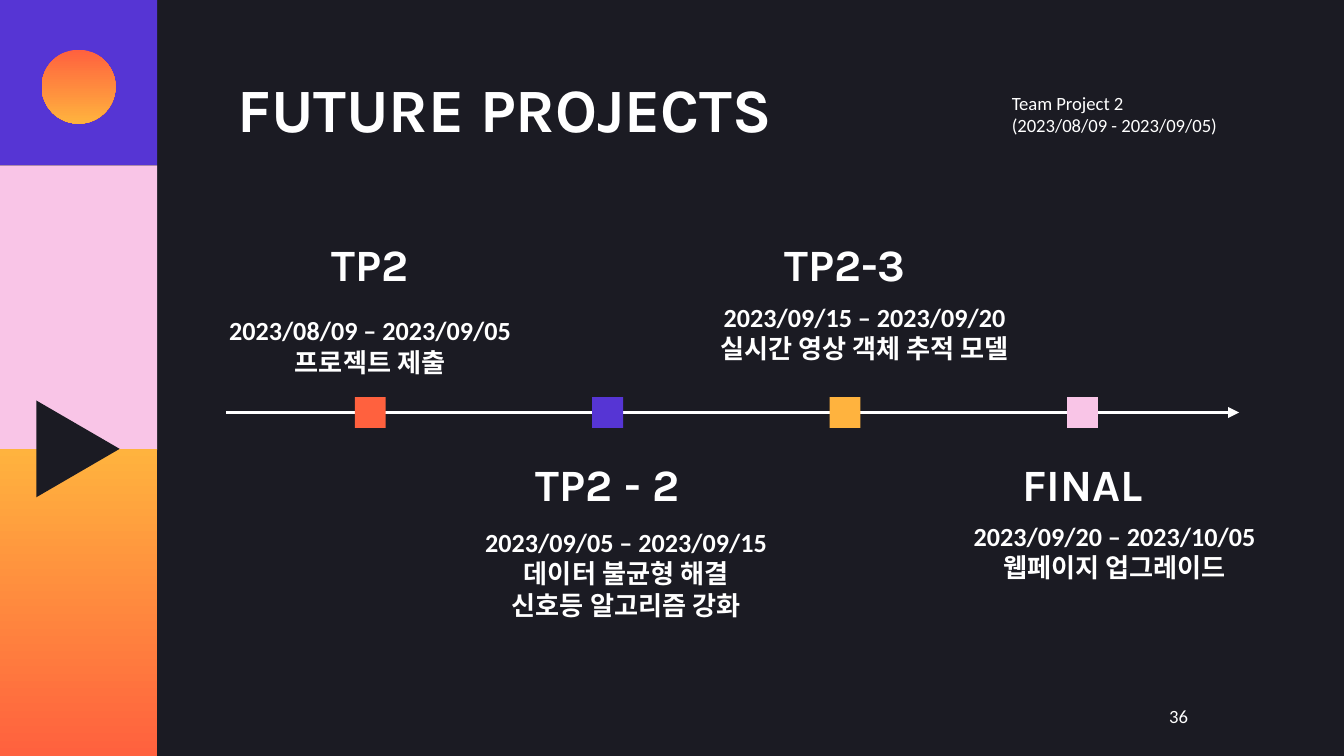
from pptx import Presentation
from pptx import util as u
from pptx.dml.color import RGBColor
from pptx.enum import shapes, text
from pptx.oxml import parse_xml
from pptx.oxml.ns import nsdecls

DARK, WHITE, PURPLE, PINK = "1B1B23", "FFFFFF", "5635D4", "F9C5E7"
ORANGE, YELLOW = "FF613E", "FFB33E"
SHAPE, ALIGN, ANCHOR = shapes.MSO_SHAPE, text.PP_ALIGN, text.MSO_ANCHOR
SLIDE_W = 10
SLIDE_H = SLIDE_W * 9 / 16

SIDEBAR = [
    (SHAPE.RECTANGLE, (0, 0, 1.17, 1.23), PURPLE, 0),
    (SHAPE.RECTANGLE, (0, 1.23, 1.17, 2.12), PINK, 0),
    (SHAPE.RECTANGLE, (0, 3.34, 1.17, SLIDE_H - 3.34), (YELLOW, ORANGE), 0),
    (SHAPE.ISOSCELES_TRIANGLE, (0.22, 3.03, 0.72, 0.62), DARK, 90),
    (SHAPE.OVAL, (0.31, 0.37, 0.55, 0.55), (ORANGE, YELLOW), 0),
]
MILESTONES = [
    ("TP2", ["2023/08/09 – 2023/09/05", "프로젝트 제출"],
     (1.52, 2.24, 2.47, 0.65), ANCHOR.TOP, ORANGE),
    ("TP2 - 2", ["2023/09/05 – 2023/09/15", "데이터 불균형 해결", "신호등 알고리즘 강화"],
     (3.44, 3.84, 2.44, 0.85), ANCHOR.MIDDLE, PURPLE),
    ("TP2-3", ["2023/09/15 – 2023/09/20", "실시간 영상 객체 추적 모델"],
     (5.2, 2.21, 2.47, 0.53), ANCHOR.MIDDLE, YELLOW),
    ("FINAL", ["2023/09/20 – 2023/10/05", "웹페이지 업그레이드"],
     (6.96, 3.84, 2.67, 0.53), ANCHOR.MIDDLE, PINK),
]
FIRST_X, LAST_X, COL_W = 1.67, 6.97, 2.17
PITCH = (LAST_X - FIRST_X) / (len(MILESTONES) - 1)
LINE_Y, MARKER = 3.07, 0.23
HEADING_Y = (1.65, 3.28)


def rgb(value):
    return RGBColor.from_string(value)


def inches(box):
    return [u.Inches(v) for v in box]


def add_shape(s, kind, box, color, rotation=0):
    sp = s.shapes.add_shape(kind, *inches(box))
    sp.shadow.inherit = False
    sp.line.fill.background()
    sp.rotation = rotation
    if isinstance(color, tuple):
        sp.fill.gradient()
        sp.fill.gradient_angle = 270
        for stop, position, value in zip(sp.fill.gradient_stops, (0, 1), color):
            stop.position = position
            stop.color.rgb = rgb(value)
    else:
        sp.fill.solid()
        sp.fill.fore_color.rgb = rgb(color)


def add_text(s, box, paragraphs, size, font="Calibri", bold=False,
             align=ALIGN.CENTER, anchor=ANCHOR.MIDDLE):
    tf = s.shapes.add_textbox(*inches(box)).text_frame
    tf.word_wrap = True
    tf.vertical_anchor = anchor
    tf.margin_left = tf.margin_right = tf.margin_top = tf.margin_bottom = u.Inches(0.1)
    for i, paragraph in enumerate(paragraphs):
        p = tf.add_paragraph() if i else tf.paragraphs[0]
        p.alignment = align
        for j, line in enumerate(paragraph.split("\n")):
            if j:
                p.add_line_break()
            r = p.add_run()
            r.text = line
            r.font.name, r.font.size, r.font.bold = font, u.Pt(size), bold
            r.font.color.rgb = rgb(WHITE)


def add_arrow(s, x1, x2, y):
    line = s.shapes.add_connector(shapes.MSO_CONNECTOR.STRAIGHT, *inches((x1, y, x2, y)))
    line.line.color.rgb = rgb(WHITE)
    line.line.width = u.Pt(1.5)
    line.line._get_or_add_ln().append(
        parse_xml(f'<a:tailEnd {nsdecls("a")} type="triangle"/>'))
    line._element.spPr.append(parse_xml(f'<a:effectLst {nsdecls("a")}/>'))


def main():
    """Build the project timeline slide."""
    prs = Presentation()
    prs.slide_width, prs.slide_height = inches((SLIDE_W, SLIDE_H))
    s = prs.slides.add_slide(prs.slide_layouts[6])
    s.background.fill.solid()
    s.background.fill.fore_color.rgb = rgb(DARK)

    for part in SIDEBAR:
        add_shape(s, *part)
    add_text(s, (8.47, 5.11, 0.6, 0.43), ["36"], 10)
    add_text(s, (1.67, 0.49, 7.54, 0.63), ["FUTURE PROJECTS"], 33, "Karla", True, ALIGN.LEFT)
    add_text(s, (7.43, 0.69, 1.87, 0.32),
             ["Team Project 2\n(2023/08/09 - 2023/09/05)"], 10, align=ALIGN.LEFT)

    add_arrow(s, 1.68, 9.22, LINE_Y)
    for i, (heading, details, box, anchor, color) in enumerate(MILESTONES):
        x = FIRST_X + i * PITCH
        add_text(s, (x, HEADING_Y[i % 2], COL_W, 0.63), [heading], 24, "Karla", True)
        add_text(s, box, details, 14, bold=True, anchor=anchor)
        add_shape(s, SHAPE.RECTANGLE,
                  (x + (COL_W - MARKER) / 2, LINE_Y - MARKER / 2, MARKER, MARKER), color)

    prs.save("out.pptx")


if __name__ == "__main__":
    main()
